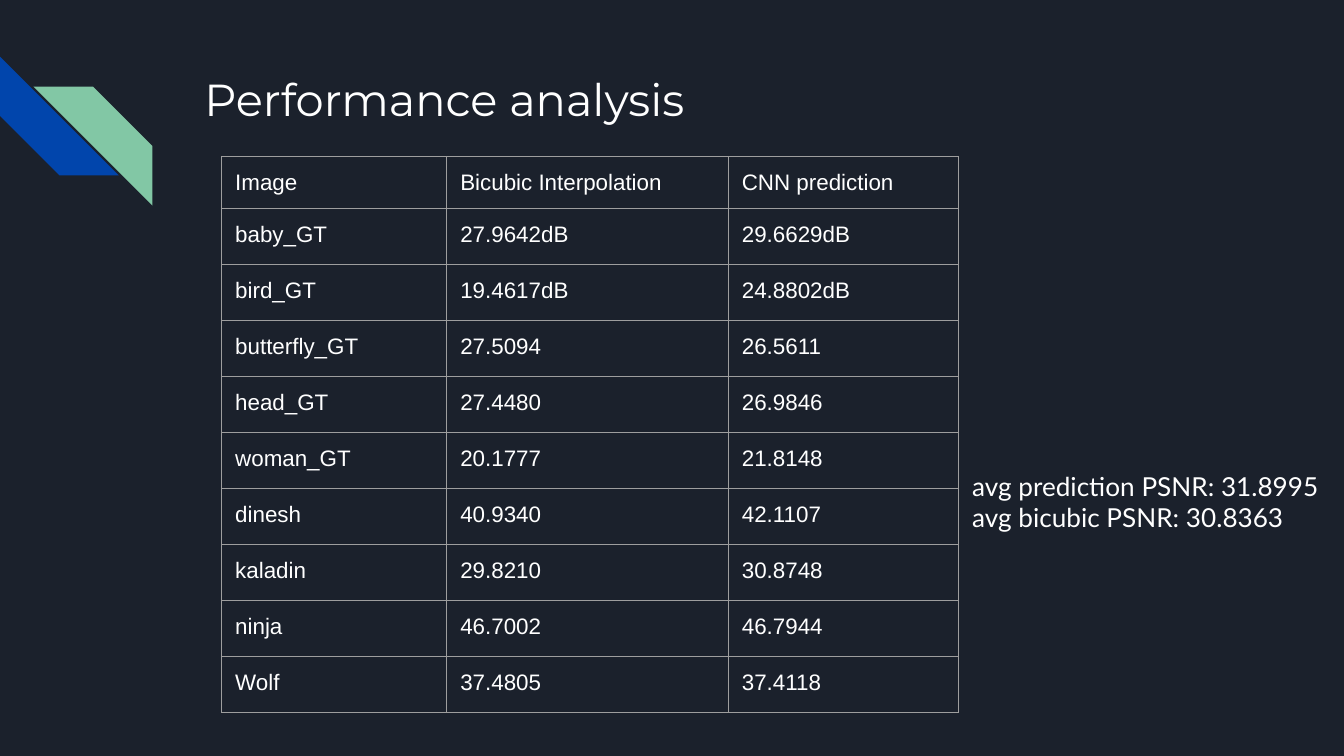
from lxml import etree
from pptx import Presentation
from pptx.dml.color import RGBColor
from pptx.enum.shapes import MSO_SHAPE
from pptx.enum.text import MSO_ANCHOR, MSO_AUTO_SIZE, PP_ALIGN
from pptx.oxml.ns import qn
from pptx.util import Inches, Pt

STRIPE = MSO_SHAPE.DIAGONAL_STRIPE
TOP, LEFT = MSO_ANCHOR.TOP, PP_ALIGN.LEFT
NO_FIT = MSO_AUTO_SIZE.NONE
NAVY = RGBColor(0x1B, 0x21, 0x2C)
BLUE = RGBColor(0x01, 0x45, 0xAC)
GREEN = RGBColor(0x82, 0xC7, 0xA5)
WHITE = RGBColor(0xFF, 0xFF, 0xFF)
GRAY = RGBColor(0x9E, 0x9E, 0x9E)

prs = Presentation()
prs.slide_width = Inches(10)
prs.slide_height = prs.slide_width * 9 // 16
U = prs.slide_width // 100  # grid unit: a hundredth of the slide's width

ROWS = [
    ("Image", "Bicubic Interpolation", "CNN prediction"),
    ("baby_GT", "27.9642dB", "29.6629dB"),
    ("bird_GT", "19.4617dB", "24.8802dB"),
    ("butterfly_GT", "27.5094", "26.5611"),
    ("head_GT", "27.4480", "26.9846"),
    ("woman_GT", "20.1777", "21.8148"),
    ("dinesh", "40.9340", "42.1107"),
    ("kaladin", "29.8210", "30.8748"),
    ("ninja", "46.7002", "46.7944"),
    ("Wolf", "37.4805", "37.4118"),
]
COL_WIDTHS = [16.75, 20.95, 17.1]
HEADER_HEIGHT, ROW_HEIGHT = 3.5, 37.5 / 9


def write(tf, text, font="Arial", size=12, color=WHITE):
    tf.word_wrap = True
    for i, line in enumerate(text.split("\n")):
        p = tf.paragraphs[0] if i == 0 else tf.add_paragraph()
        p.alignment = LEFT
        r = p.add_run()
        r.text = line
        r.font.name, r.font.size = font, Pt(size)
        r.font.color.rgb = color


def set_borders(cell, color, width):
    tc_pr = cell._tc.get_or_add_tcPr()
    for side in ("a:lnL", "a:lnR", "a:lnT", "a:lnB"):
        ln = etree.SubElement(tc_pr, qn(side), w=str(Pt(width)))
        fill = etree.SubElement(ln, qn("a:solidFill"))
        etree.SubElement(fill, qn("a:srgbClr"), val=str(color))


slide = prs.slides.add_slide(prs.slide_layouts[5])
slide.background.fill.solid()
slide.background.fill.fore_color.rgb = NAVY

# Corner stripes
stripes = slide.shapes.add_group_shape()
for left, top, color in [(0, 4.2, BLUE), (2.5, 6.45, GREEN)]:
    sp = stripes.shapes.add_shape(STRIPE, int(left * U), int(top * U),
                                  int(8.85 * U), int(8.85 * U))
    sp.adjustments[0] = 0.5
    sp.shadow.inherit = False
    sp.fill.solid()
    sp.fill.fore_color.rgb = color
    sp.line.fill.background()
    if color == BLUE:
        sp.rotation = 270
    else:
        sp._element.spPr.get_or_add_xfrm().set("flipH", "1")

# Title and averages
title = slide.shapes.title
title.left, title.top = int(14.2 * U), int(4.35 * U)
title.width, title.height = 77 * U, 10 * U
averages = slide.shapes.add_textbox(int(71.35 * U), 34 * U,
                                    int(78.3 * U), int(9.1 * U))
for sp in (title, averages):
    tf = sp.text_frame
    tf.auto_size, tf.vertical_anchor = NO_FIT, TOP
    tf.margin_left = tf.margin_right = tf.margin_top = tf.margin_bottom = U
write(title.text_frame, "Performance analysis", font="Montserrat", size=24)
write(averages.text_frame,
      "avg prediction PSNR: 31.8995\navg bicubic PSNR: 30.8363",
      font="Lato", size=14)

# Results table
table_height = HEADER_HEIGHT + ROW_HEIGHT * (len(ROWS) - 1)
table = slide.shapes.add_table(
    len(ROWS), len(COL_WIDTHS), int(16.5 * U), int(11.65 * U),
    int(sum(COL_WIDTHS) * U), int(table_height * U)).table
table.first_row = table.horz_banding = False
for column, width in zip(table.columns, COL_WIDTHS):
    column.width = int(width * U)
for i, values in enumerate(ROWS):
    table.rows[i].height = int((ROW_HEIGHT if i else HEADER_HEIGHT) * U)
    for j, value in enumerate(values):
        cell = table.cell(i, j)
        cell.margin_left = cell.margin_right = U
        cell.margin_top = cell.margin_bottom = U
        cell.vertical_anchor = TOP
        set_borders(cell, GRAY, 0.75)
        cell.fill.background()
        write(cell.text_frame, value)

prs.save("out.pptx")
